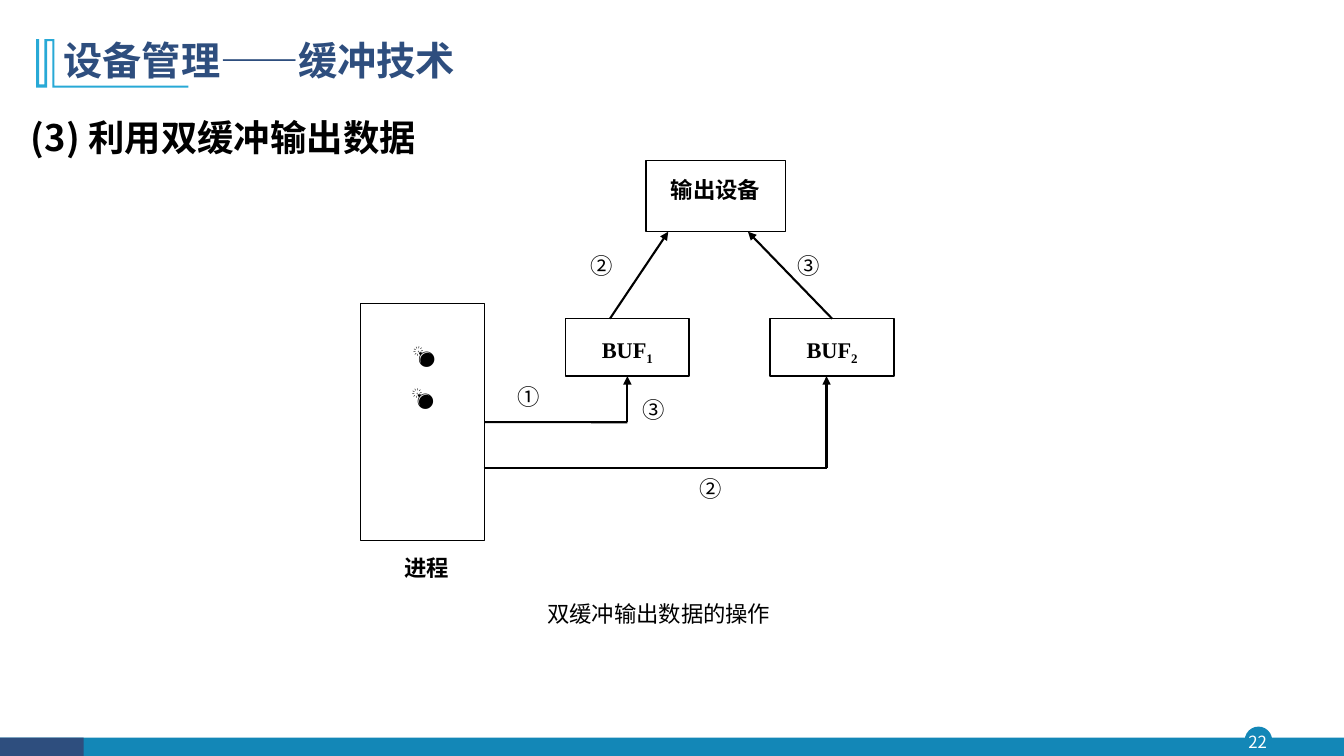
from dataclasses import dataclass
from typing import Optional

from lxml.etree import SubElement
from pptx import Presentation
from pptx.dml.color import RGBColor
from pptx.enum.shapes import MSO_CONNECTOR, MSO_SHAPE
from pptx.enum.text import MSO_ANCHOR, MSO_AUTO_SIZE, PP_ALIGN
from pptx.oxml.ns import qn
from pptx.util import Cm, Pt


@dataclass(frozen=True)
class Theme:
    black: str = "000000"
    white: str = "FFFFFF"
    navy: str = "2E4E7E"
    teal: str = "1387B7"
    sky: str = "28A9D6"
    sans: str = "Noto Sans CJK SC"
    serif: str = "Times New Roman"
    title: int = 28
    heading: int = 26
    body: int = 16
    number: int = 12


THEME = Theme()


@dataclass(frozen=True)
class Frame:
    left: float
    top: float
    width: float
    height: float

    def lengths(self) -> tuple:
        return Cm(self.left), Cm(self.top), Cm(self.width), Cm(self.height)


@dataclass(frozen=True)
class Style:
    size: int = THEME.body
    font: str = THEME.sans
    color: str = THEME.black
    bold: bool = False
    align: PP_ALIGN = PP_ALIGN.LEFT
    anchor: MSO_ANCHOR = MSO_ANCHOR.TOP
    spacing: float = 1.0
    inset: bool = True


@dataclass(frozen=True)
class Label:
    text: str
    frame: Frame
    style: Style


@dataclass(frozen=True)
class Box:
    name: str
    frame: Frame
    text: str = ""
    subscript: str = ""


@dataclass(frozen=True)
class Flow:
    start: tuple
    end: tuple
    arrow: bool = True
    source: Optional[tuple] = None
    target: Optional[tuple] = None


TITLE = Style(THEME.title, color=THEME.navy, bold=True, anchor=MSO_ANCHOR.MIDDLE, spacing=0.9)
HEADING = Style(THEME.heading, bold=True, align=PP_ALIGN.JUSTIFY,
                anchor=MSO_ANCHOR.MIDDLE, spacing=1.5)
NODE = Style(font=THEME.serif, bold=True, align=PP_ALIGN.CENTER, spacing=1.4)
SYMBOL = Style(bold=True, align=PP_ALIGN.CENTER, spacing=1.4)
STEP = Style()
CAPTION = Style(font=THEME.serif)
NUMBER = Style(THEME.number, color=THEME.white, align=PP_ALIGN.CENTER,
               anchor=MSO_ANCHOR.MIDDLE, inset=False)

ORNAMENT = [(1.37, 0.99), (1.37, 2.16), (4.75, 2.16), (4.75, 2.21), (1.32, 2.21),
            (1.32, 1.04), (1.19, 1.04), (1.19, 2.21), (0.91, 2.21), (0.91, 0.99),
            (0.99, 0.99), (0.99, 2.13), (1.12, 2.13), (1.12, 0.99)]

BOXES = [
    Box("device", Frame(16.28, 4.04, 3.51, 1.8), "输出设备"),
    Box("buffer 1", Frame(14.25, 8.03, 3.12, 1.45), "BUF", "1"),
    Box("buffer 2", Frame(19.41, 8.03, 3.12, 1.45), "BUF", "2"),
    Box("process", Frame(9.09, 7.65, 3.12, 5.97)),
]

STEPS = [("①", 12.78, 9.53), ("②", 14.63, 6.22), ("③", 15.93, 9.86),
         ("②", 17.37, 11.84), ("③", 19.84, 6.22)]

LABELS = [
    Label("(3) 利用双缓冲输出数据", Frame(0.53, 2.31, 15.82, 1.73), HEADING),
    Label("进程", Frame(9.19, 13.56, 3.12, 1.45), NODE),
    Label("💣", Frame(9.86, 8.2, 1.65, 1.45), SYMBOL),
    Label("💣", Frame(9.83, 9.27, 1.65, 1.45), SYMBOL),
    *[Label(text, Frame(left, top, 1.47, 0.94), STEP) for text, left, top in STEPS],
    Label("双缓冲输出数据的操作", Frame(13.54, 14.99, 7.01, 0.94), CAPTION),
    Label("22", Frame(31.29, 18.31, 0.81, 0.79), NUMBER),
]

TOP, BOTTOM, RIGHT = 0, 2, 3
FLOWS = [
    Flow((12.21, 10.64), (15.81, 10.64), arrow=False, source=("process", RIGHT)),
    Flow((15.81, 10.64), (15.81, 9.48), target=("buffer 1", BOTTOM)),
    Flow((15.37, 8.03), (16.84, 5.84)),
    Flow((20.97, 8.03), (18.85, 5.84), source=("buffer 2", TOP)),
    Flow((12.19, 11.79), (20.83, 11.79), arrow=False),
    Flow((20.83, 11.79), (20.83, 9.48)),
]


def rgb(color: str) -> RGBColor:
    return RGBColor.from_string(color)


def write(shape, text: str, style: Style, subscript: str = "") -> None:
    text_frame = shape.text_frame
    text_frame.text = text
    text_frame.word_wrap = True
    text_frame.auto_size = MSO_AUTO_SIZE.NONE
    text_frame.vertical_anchor = style.anchor
    if not style.inset:
        text_frame.margin_left = text_frame.margin_right = 0
        text_frame.margin_top = text_frame.margin_bottom = 0
    paragraph = text_frame.paragraphs[0]
    paragraph.alignment = style.align
    paragraph.line_spacing = style.spacing
    paragraph.space_before = Pt(0)
    if subscript:
        paragraph.add_run().text = subscript
    for run in paragraph.runs:
        run.font.size = Pt(style.size)
        run.font.bold = style.bold
        run.font.name = style.font
        run.font.color.rgb = rgb(style.color)
        SubElement(run.font._element, qn("a:ea")).set("typeface", THEME.sans)
    if subscript:
        paragraph.runs[-1].font._element.set("baseline", "-25000")


def add_filled(slide, kind: MSO_SHAPE, frame: Frame, color: str) -> None:
    shape = slide.shapes.add_shape(kind, *frame.lengths())
    shape.shadow.inherit = False
    shape.fill.solid()
    shape.fill.fore_color.rgb = rgb(color)
    shape.line.fill.background()


def add_ornament(slide) -> None:
    points = [(Cm(x), Cm(y)) for x, y in ORNAMENT]
    builder = slide.shapes.build_freeform(*points[0])
    builder.add_line_segments(points[1:], close=True)
    shape = builder.convert_to_shape()
    shape.shadow.inherit = False
    shape.fill.solid()
    shape.fill.fore_color.rgb = rgb(THEME.sky)
    shape.line.fill.background()


def add_box(slide, box: Box):
    shape = slide.shapes.add_shape(MSO_SHAPE.RECTANGLE, *box.frame.lengths())
    shape.shadow.inherit = False
    shape.fill.background()
    shape.line.color.rgb = rgb(THEME.black)
    shape.line.width = Pt(1)
    if box.text:
        write(shape, box.text, NODE, box.subscript)
    return shape


def add_flow(slide, flow: Flow, boxes: dict) -> None:
    ends = [Cm(value) for value in (*flow.start, *flow.end)]
    connector = slide.shapes.add_connector(MSO_CONNECTOR.STRAIGHT, *ends)
    if flow.source:
        connector.begin_connect(boxes[flow.source[0]], flow.source[1])
    if flow.target:
        connector.end_connect(boxes[flow.target[0]], flow.target[1])
    connector.line.color.rgb = rgb(THEME.black)
    connector.line.width = Pt(1.5)
    properties = connector._element.spPr
    if flow.arrow:
        SubElement(properties.find(qn("a:ln")), qn("a:tailEnd")).set("type", "triangle")
    SubElement(properties, qn("a:effectLst"))


def main() -> None:
    presentation = Presentation()
    presentation.slide_width, presentation.slide_height = Cm(33.87), Cm(19.05)
    slide = presentation.slides.add_slide(presentation.slide_layouts[5])
    title = slide.shapes.title
    title.left, title.top, title.width, title.height = Frame(1.35, 0.86, 26.64, 1.42).lengths()
    write(title, "设备管理——缓冲技术", TITLE)
    add_filled(slide, MSO_SHAPE.OVAL, Frame(31.37, 18.31, 0.69, 0.69), THEME.teal)
    add_filled(slide, MSO_SHAPE.RECTANGLE, Frame(0, 18.59, 33.87, 0.46), THEME.teal)
    add_filled(slide, MSO_SHAPE.RECTANGLE, Frame(0, 18.59, 2.11, 0.46), THEME.navy)
    add_ornament(slide)
    boxes = {box.name: add_box(slide, box) for box in BOXES}
    for box in boxes.values():
        box.text_frame.vertical_anchor = MSO_ANCHOR.TOP
    for label in LABELS:
        write(slide.shapes.add_textbox(*label.frame.lengths()), label.text, label.style)
    for flow in FLOWS:
        add_flow(slide, flow, boxes)
    presentation.save("out.pptx")


if __name__ == "__main__":
    main()
